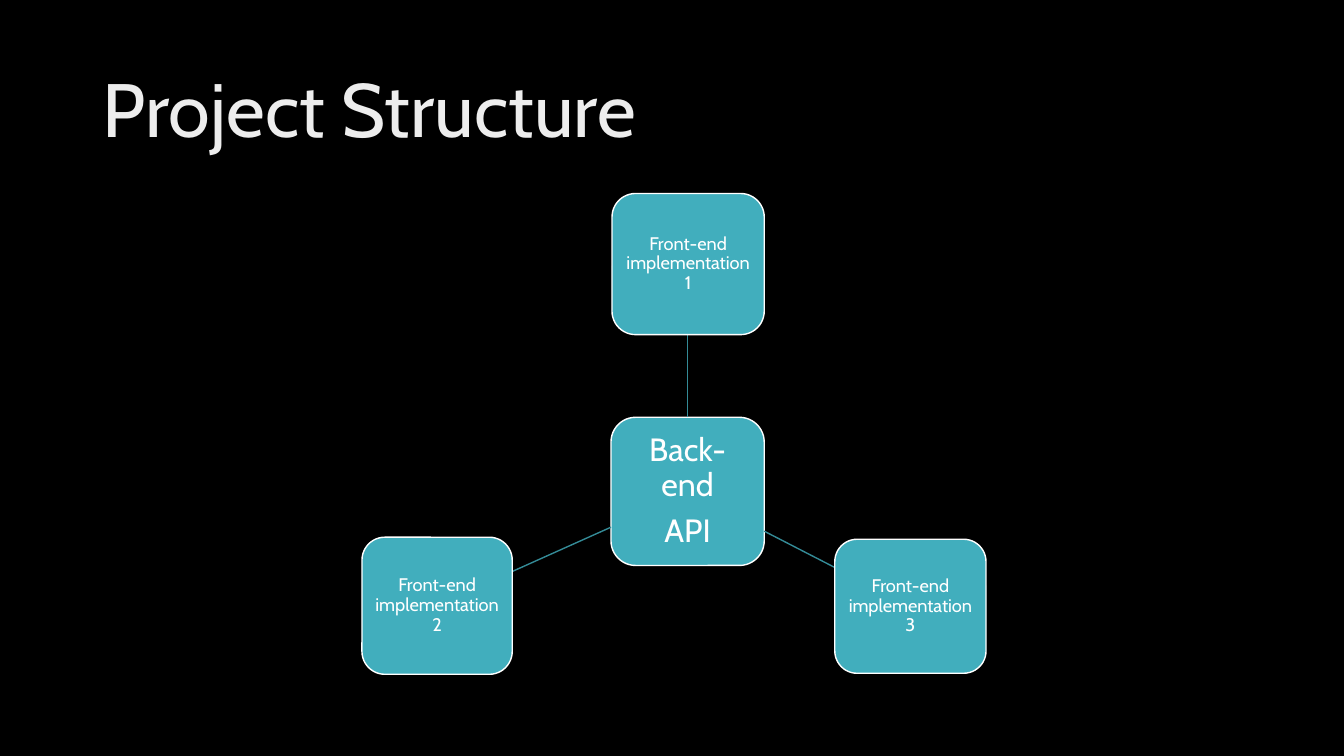
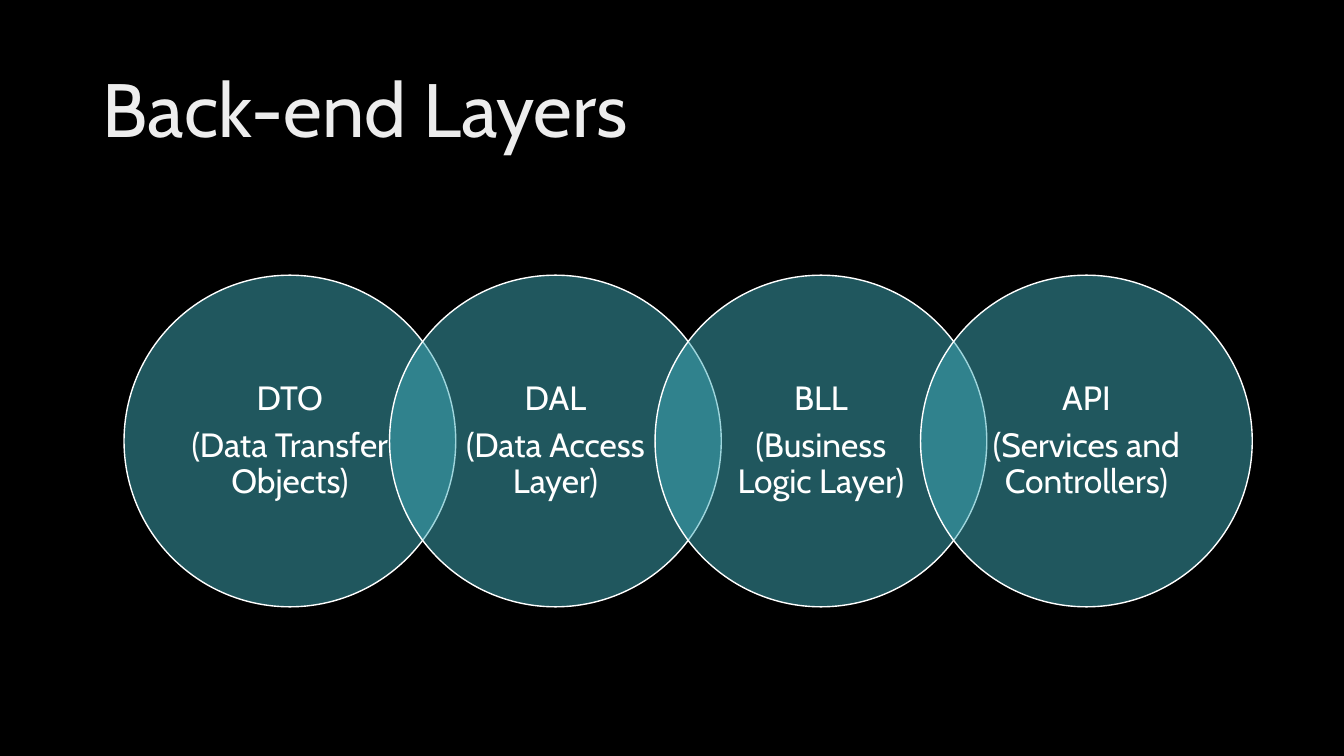
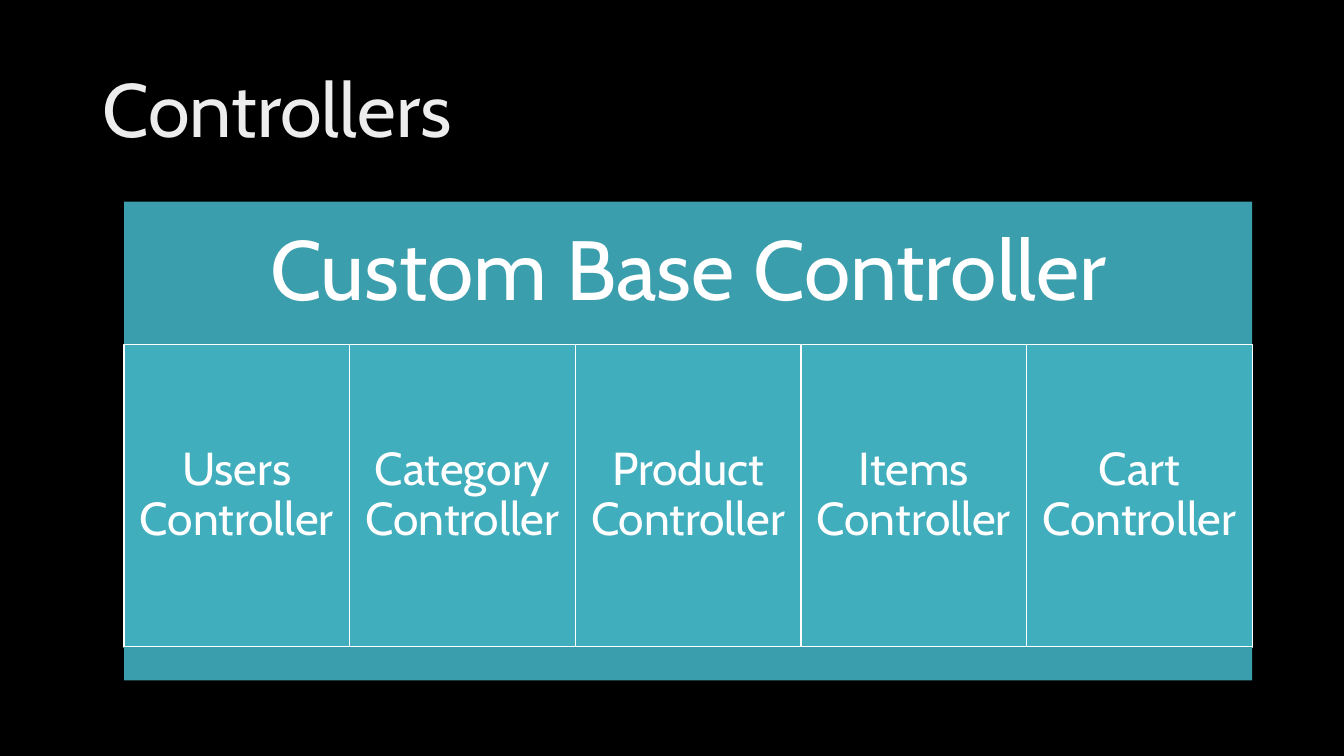
from lxml import etree
from pptx import Presentation
from pptx.dml.color import RGBColor
from pptx.enum import shapes, text
from pptx.oxml import ns
from pptx.util import Inches, Pt

STRUCTURE = "Project Structure"
HUB = (["Back-end", "API"], (6.06, 4.14, 1.52, 1.47))
FRONT_ENDS = [
    ("Front-end implementation 1", (6.07, 1.92, 1.51, 1.4), (6.82, 4.14, 6.82, 3.32)),
    ("Front-end implementation 3", (8.28, 5.35, 1.5, 1.33), (7.58, 5.27, 8.28, 5.63)),
    ("Front-end implementation 2", (3.59, 5.33, 1.49, 1.36), (6.06, 5.23, 5.08, 5.67)),
]
LAYERS_TITLE = "Back-end Layers"
LAYERS = [
    ("DTO", "(Data Transfer Objects)"),
    ("DAL", "(Data Access Layer)"),
    ("BLL", "(Business Logic Layer)"),
    ("API", "(Services and Controllers)"),
]
CONTROLLERS_TITLE = "Controllers"
BASE_CONTROLLER = "Custom Base Controller"
CONTROLLERS = ["Users", "Category", "Product", "Items", "Cart"]

FONT = "Cabin"
BLACK = RGBColor(0x00, 0x00, 0x00)
WHITE = RGBColor(0xFF, 0xFF, 0xFF)
PALE = RGBColor(0xED, 0xED, 0xED)
TEAL = RGBColor(0x41, 0xAE, 0xBD)
DARK_TEAL = RGBColor(0x3B, 0x9E, 0xAC)
LINK_TEAL = RGBColor(0x34, 0x8B, 0x97)
TITLE_BOX = (0.92, 0.4, 11.5, 1.45)
DIAGRAM_LEFT, DIAGRAM_WIDTH = 1.23, 11.19

prs = Presentation()
prs.slide_width, prs.slide_height = Inches(13.33), Inches(7.5)
prs.slide_master.background.fill.solid()
prs.slide_master.background.fill.fore_color.rgb = BLACK
title_only = prs.slide_layouts[5]


def write(holder, lines, size, color=WHITE, align=text.PP_ALIGN.CENTER,
          inset=(0.1, 0.05), after=0.35):
    frame = holder.text_frame
    frame.word_wrap = True
    frame.auto_size = text.MSO_AUTO_SIZE.NONE
    frame.vertical_anchor = text.MSO_ANCHOR.MIDDLE
    frame.margin_left = frame.margin_right = Inches(inset[0])
    frame.margin_top = frame.margin_bottom = Inches(inset[1])
    frame.text = "\n".join(lines)
    for paragraph in frame.paragraphs:
        paragraph.alignment = align
        paragraph.line_spacing = 0.9
        paragraph.space_before = Pt(0)
        paragraph.space_after = Pt(round(size * after))
        font = paragraph.font
        font.name, font.size, font.color.rgb = FONT, Pt(size), color
        for run in paragraph.runs:
            run.font.name, run.font.size, run.font.color.rgb = FONT, Pt(size), color


def titled_slide(title):
    slide = prs.slides.add_slide(title_only)
    heading = slide.shapes.title
    heading.left, heading.top, heading.width, heading.height = map(Inches, TITLE_BOX)
    write(heading, [title], 54, color=PALE, align=text.PP_ALIGN.LEFT, after=0)
    return slide


def block(slide, kind, box, fill=TEAL, outline=WHITE, opacity=None):
    shape = slide.shapes.add_shape(kind, *map(Inches, box))
    shape.shadow.inherit = False
    shape.fill.solid()
    shape.fill.fore_color.rgb = fill
    if opacity:
        tint = shape.fill._xPr.find(".//" + ns.qn("a:srgbClr"))
        etree.SubElement(tint, ns.qn("a:alpha"), val=str(opacity * 1000))
    if outline is None:
        shape.line.fill.background()
    else:
        shape.line.color.rgb = outline
        shape.line.width = Pt(1)
    return shape


def link(slide, ends):
    line = slide.shapes.add_connector(shapes.MSO_CONNECTOR.STRAIGHT, *map(Inches, ends))
    line.line.color.rgb = LINK_TEAL
    line.line.width = Pt(1)
    etree.SubElement(line._element.spPr, ns.qn("a:effectLst"))


KIND = shapes.MSO_SHAPE

structure = titled_slide(STRUCTURE)
hub_lines, hub_box = HUB
write(block(structure, KIND.ROUNDED_RECTANGLE, hub_box), hub_lines, 23, inset=(0.07, 0.06))
for label, box, ends in FRONT_ENDS:
    link(structure, ends)
    write(block(structure, KIND.ROUNDED_RECTANGLE, box), [label], 13, inset=(0.04, 0.04))

layers = titled_slide(LAYERS_TITLE)
diameter = 3.29
step = (DIAGRAM_WIDTH - diameter) / (len(LAYERS) - 1)
for index, layer in enumerate(LAYERS):
    box = (DIAGRAM_LEFT + index * step, 2.73, diameter, diameter)
    circle = block(layers, KIND.OVAL, box, opacity=50)
    write(circle, layer, 24, inset=(0.17, 0.03))

controllers = titled_slide(CONTROLLERS_TITLE)
base_top, cells_top, foot_top, foot_bottom = 2, 3.42, 6.42, 6.75
base = block(controllers, KIND.RECTANGLE,
             (DIAGRAM_LEFT, base_top, DIAGRAM_WIDTH, cells_top - base_top),
             fill=DARK_TEAL, outline=None)
write(base, [BASE_CONTROLLER], 60, inset=(0.25, 0.25))
cell_width = DIAGRAM_WIDTH / len(CONTROLLERS)
for index, subject in enumerate(CONTROLLERS):
    box = (DIAGRAM_LEFT + index * cell_width, cells_top, cell_width, foot_top - cells_top)
    write(block(controllers, KIND.RECTANGLE, box), [subject + " Controller"], 33,
          inset=(0.14, 0.14))
block(controllers, KIND.RECTANGLE,
      (DIAGRAM_LEFT, foot_top, DIAGRAM_WIDTH, foot_bottom - foot_top),
      fill=DARK_TEAL, outline=None)

prs.save("out.pptx")
